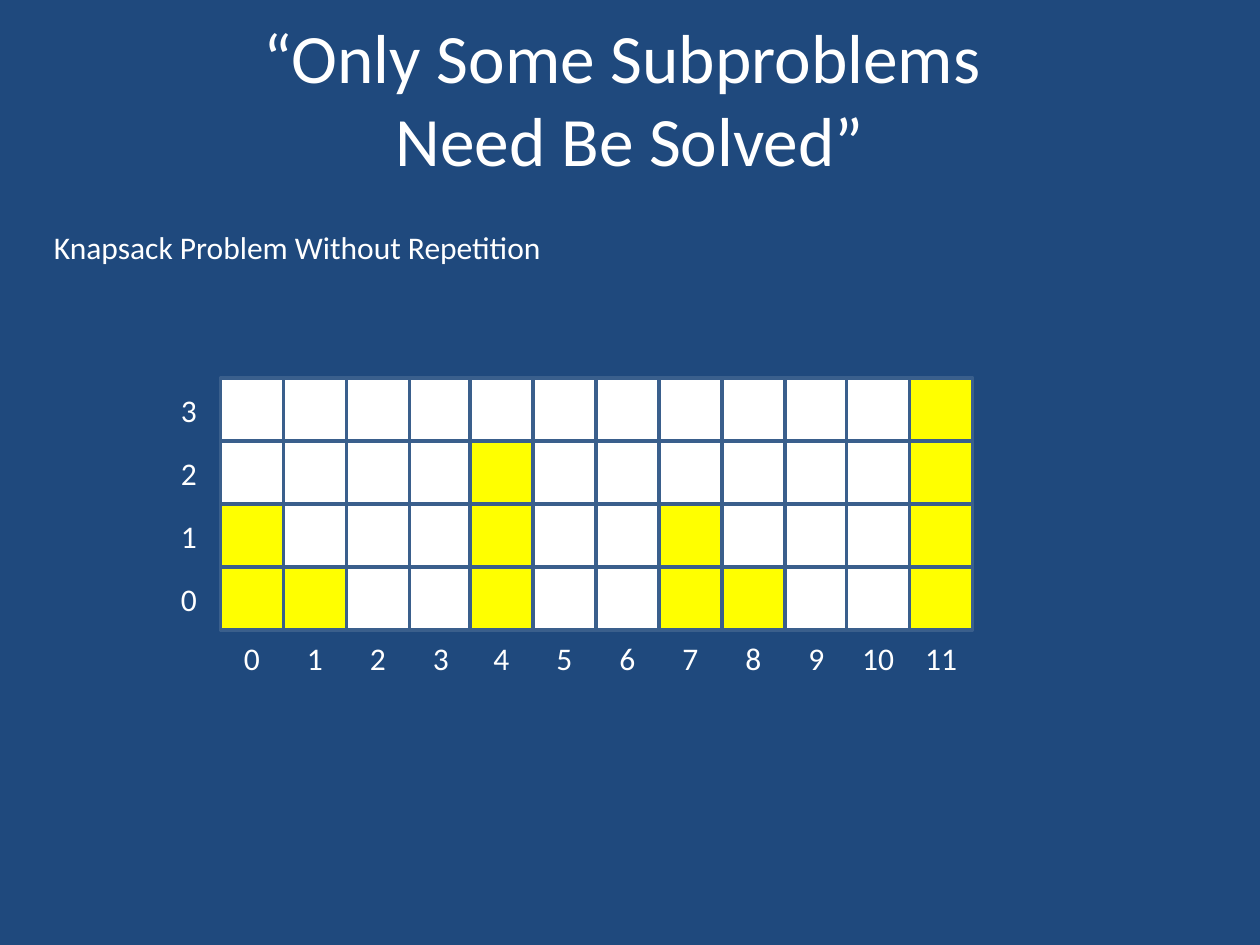
from pptx import Presentation
from pptx.dml.color import RGBColor
from pptx.enum.shapes import MSO_SHAPE
from pptx.enum.text import MSO_ANCHOR, PP_ALIGN
from pptx.util import Inches, Pt

RECT = MSO_SHAPE.RECTANGLE
TOP, MIDDLE = MSO_ANCHOR.TOP, MSO_ANCHOR.MIDDLE
LEFT, CENTER = PP_ALIGN.LEFT, PP_ALIGN.CENTER

COLORS = {
    "background": "1F497D",
    "text": "FFFFFF",
    "cell": "FFFFFF",
    "needed": "FFFF00",
    "border": "3A5F8C",
}
CELL = 0.5
GRID_TOP = 3
COLUMN_BLOCKS = [(1.75, 4), (3.73, 6), (6.72, 2)]
COLUMNS = [x + i * CELL for x, count in COLUMN_BLOCKS for i in range(count)]
NEEDED = {3: {11}, 2: {4, 11}, 1: {0, 4, 7, 11}, 0: {0, 1, 4, 7, 8, 11}}


class SlideBuilder:
    font = "Calibri"

    def __init__(self, slide):
        self.slide = slide
        self.fill(slide.background, "background")

    def color(self, name):
        return RGBColor.from_string(COLORS[name])

    def fill(self, target, name):
        target.fill.solid()
        target.fill.fore_color.rgb = self.color(name)

    def text(self, text, x, y, w, h, size=18, align=CENTER, anchor=MIDDLE):
        sp = self.slide.shapes.add_textbox(Inches(x), Inches(y), Inches(w), Inches(h))
        tf = sp.text_frame
        tf.word_wrap = True
        tf.vertical_anchor = anchor
        p = tf.paragraphs[0]
        p.text = text
        p.alignment = align
        p.font.name = self.font
        p.font.size = Pt(size)
        p.font.color.rgb = self.color("text")

    def cell(self, x, y, fill):
        sp = self.slide.shapes.add_shape(
            RECT, Inches(x), Inches(y), Inches(CELL), Inches(CELL))
        sp.shadow.inherit = False
        self.fill(sp, fill)
        sp.line.color.rgb = self.color("border")
        sp.line.width = Pt(2)


def main():
    prs = Presentation()
    prs.slide_width, prs.slide_height = Inches(10), Inches(7.5)
    s = SlideBuilder(prs.slides.add_slide(prs.slide_layouts[6]))

    s.text("“Only Some Subproblems \vNeed Be Solved”", 0.5, 0.38, 9, 0.78, size=39.6)
    s.text("Knapsack Problem Without Repetition", 0.33, 1.76, 9.42, 4.64,
           align=LEFT, anchor=TOP)

    for row, (item, needed) in enumerate(NEEDED.items()):
        y = GRID_TOP + row * CELL
        for weight, x in enumerate(COLUMNS):
            s.cell(x, y, "needed" if weight in needed else "cell")
        s.text(str(item), COLUMNS[0] - CELL, y, CELL, CELL)

    for weight, x in enumerate(COLUMNS):
        s.text(str(weight), x, 4.97, CELL, CELL)

    prs.save("out.pptx")


if __name__ == "__main__":
    main()
